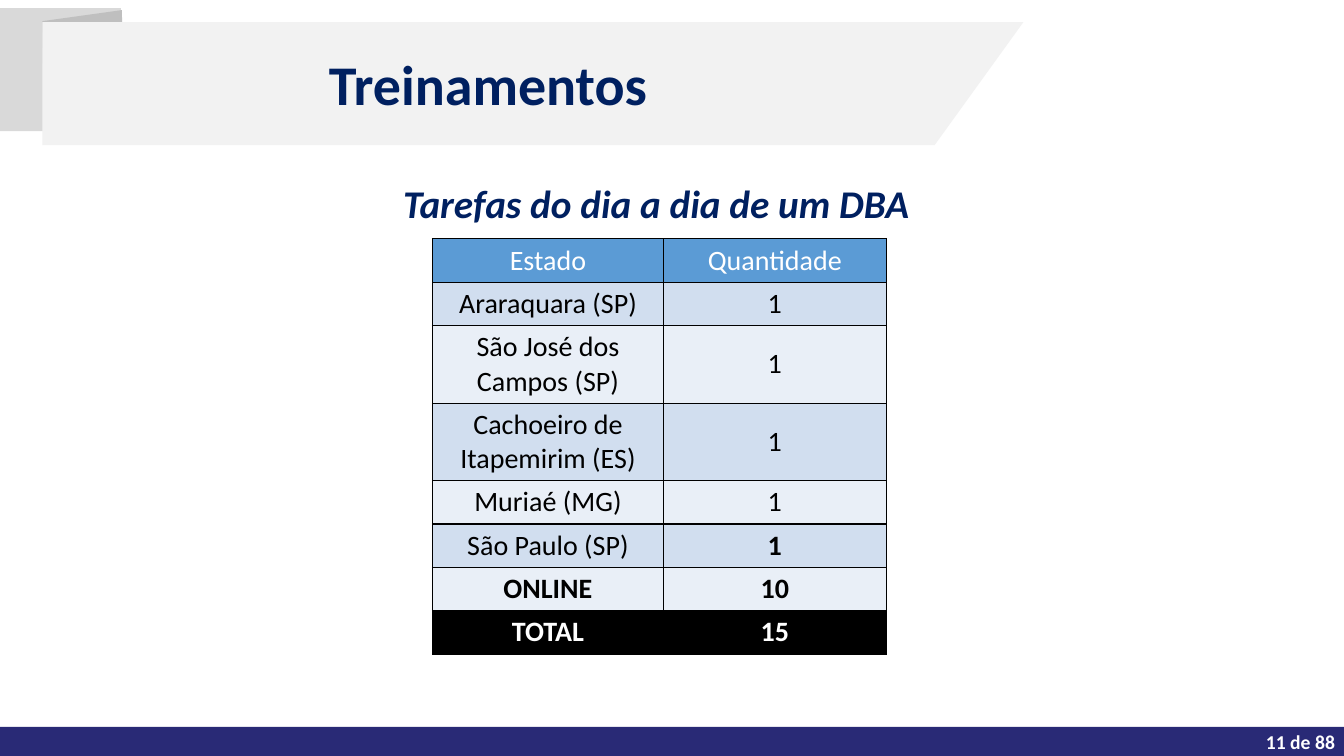
"""Build the training summary slide with its table of places and counts."""
from lxml.etree import SubElement as Sub
from pptx import Presentation
from pptx.dml.color import RGBColor
from pptx.enum.shapes import MSO_SHAPE as Shape
from pptx.enum.text import MSO_ANCHOR as Anchor, PP_ALIGN as Align
from pptx.oxml.ns import qn
from pptx.util import Inches, Pt

FONT = "Calibri"
HEX = {
    "navy": "002060", "foot": "292A76", "white": "FFFFFF", "black": "000000",
    "back": "D9D9D9", "fold": "BFBFBF", "band": "F2F2F2",
    "head": "5B9BD5", "odd": "D1DEEF", "even": "E9EFF7",
}
ROWS = [
    ("Estado", "Quantidade"),
    ("Araraquara (SP)", "1"),
    ("São José dos Campos (SP)", "1"),
    ("Cachoeiro de Itapemirim (ES)", "1"),
    ("Muriaé (MG)", "1"),
    ("São Paulo (SP)", "1"),
    ("ONLINE", "10"),
    ("TOTAL", "15"),
]
BOLD = {(5, 1), (6, 0), (6, 1), (7, 0), (7, 1)}
TALL = {2, 3}
COLS = (2.29, 2.21)
LOW, HIGH = 0.43, 0.77
BARS = [
    ("foot", (0, 7.21, 13.33, 0.29)),
    ("back", (0, 0.08, 1.2, 1.22)),
]
FORMS = [
    ("fold", [(0.42, 0.21), (1.21, 0.1), (1.22, 1.42), (0.44, 1.42)]),
    ("band", [(0.42, 0.22), (10.15, 0.22), (9.27, 1.44), (0.42, 1.44)]),
]
TEXTS = [
    ("Treinamentos", (0.42, 0.4, 8.84, 0.84), 40, "navy", Align.CENTER, False),
    ("Tarefas do dia a dia de um DBA", (3.9, 1.72, 5.4, 0.58), 28, "navy",
     Align.LEFT, True),
    ("11 de 88", (11.46, 7.22, 1.88, 0.28), 14, "white", Align.RIGHT, False),
]


def rgb(name):
    return RGBColor.from_string(HEX[name])


def paint(shape, name):
    shape.shadow.inherit = False
    shape.fill.solid()
    shape.fill.fore_color.rgb = rgb(name)
    shape.line.fill.background()


def style(par, size, color, align, bold, slant=False):
    par.alignment = align
    font = par.font
    font.name, font.size = FONT, Pt(size)
    font.bold, font.italic = bold, slant
    font.color.rgb = rgb(color)


def label(shapes, text, box, size, color, align, slant):
    frame = shapes.add_textbox(*map(Inches, box)).text_frame
    frame.word_wrap = True
    frame.vertical_anchor = Anchor.MIDDLE
    frame.text = text
    style(frame.paragraphs[0], size, color, align, True, slant)


def border(cell):
    props = cell._tc.get_or_add_tcPr()
    for side in ("lnL", "lnR", "lnT", "lnB"):
        line = Sub(props, qn(f"a:{side}"), w=str(Pt(0.96)))
        Sub(Sub(line, qn("a:solidFill")), qn("a:srgbClr"), val=HEX["black"])


def grid(shapes):
    tall = [HIGH if row in TALL else LOW for row in range(len(ROWS))]
    box = (4.29, 2.37, sum(COLS), sum(tall))
    table = shapes.add_table(len(ROWS), len(COLS), *map(Inches, box)).table
    table.first_row = table.horz_banding = False
    for col, wide in zip(table.columns, COLS):
        col.width = Inches(wide)
    last = len(ROWS) - 1
    for row, texts in enumerate(ROWS):
        table.rows[row].height = Inches(tall[row])
        fill = {0: "head", last: "black"}.get(row, "odd" if row % 2 else "even")
        ink = "white" if row in (0, last) else "black"
        for col, text in enumerate(texts):
            cell = table.cell(row, col)
            border(cell)
            cell.fill.solid()
            cell.fill.fore_color.rgb = rgb(fill)
            cell.margin_top = cell.margin_bottom = Inches(0.04)
            cell.vertical_anchor = Anchor.MIDDLE
            cell.text = text
            style(cell.text_frame.paragraphs[0], 20, ink, Align.CENTER,
                  (row, col) in BOLD)


def main():
    deck = Presentation()
    deck.slide_width, deck.slide_height = Inches(13.33), Inches(7.5)
    shapes = deck.slides.add_slide(deck.slide_layouts[6]).shapes
    for name, box in BARS:
        paint(shapes.add_shape(Shape.RECTANGLE, *map(Inches, box)), name)
    for name, points in FORMS:
        first, *rest = [(Inches(x), Inches(y)) for x, y in points]
        form = shapes.build_freeform(*first)
        form.add_line_segments(rest, close=True)
        paint(form.convert_to_shape(), name)
    for item in TEXTS:
        label(shapes, *item)
    grid(shapes)
    deck.save("out.pptx")


if __name__ == "__main__":
    main()
